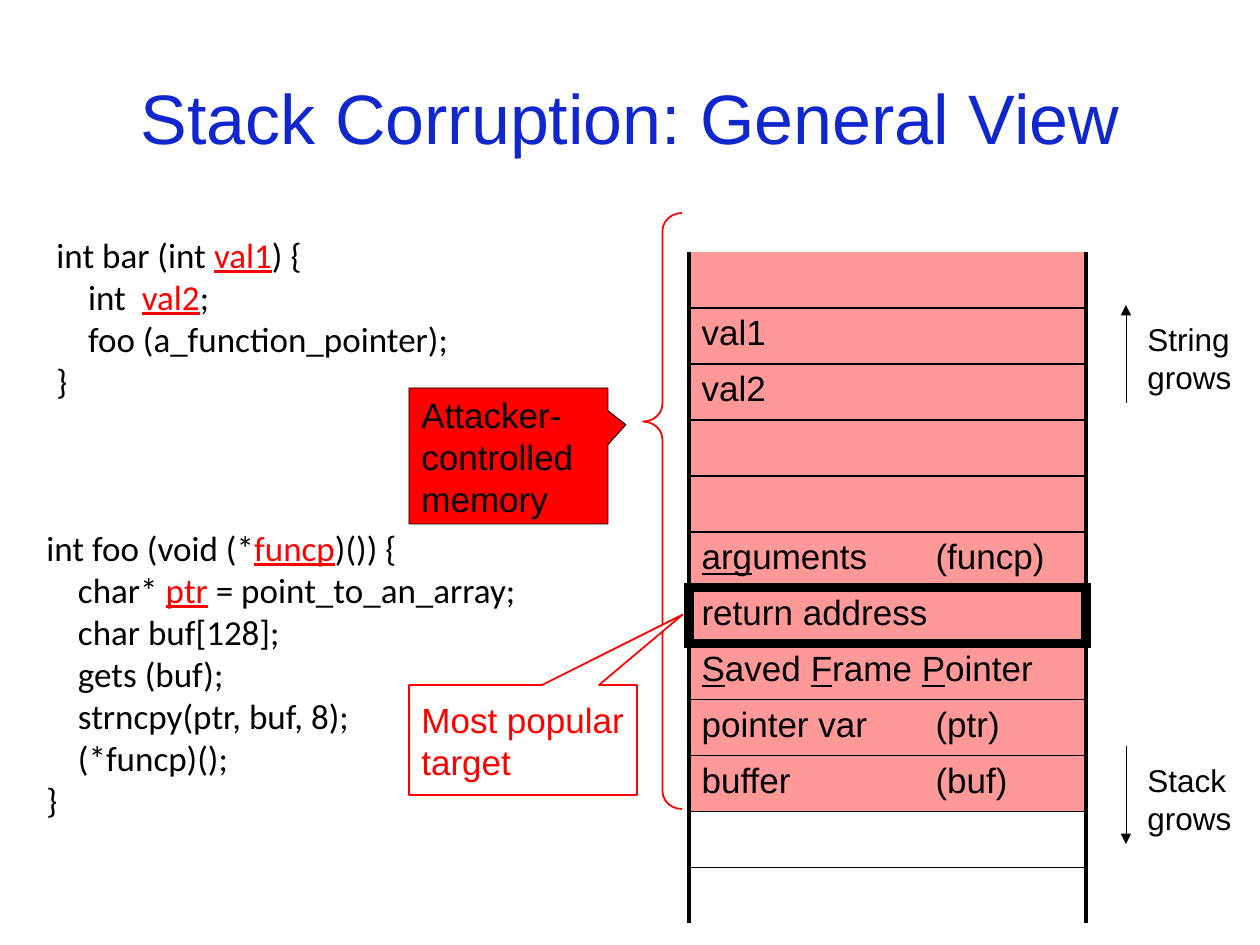
from lxml import etree
from pptx import Presentation
from pptx.dml.color import RGBColor
from pptx.enum.shapes import MSO_CONNECTOR, MSO_SHAPE
from pptx.enum.text import MSO_ANCHOR, MSO_AUTO_SIZE, PP_ALIGN
from pptx.oxml.ns import qn
from pptx.util import Emu, Pt

LINE = MSO_CONNECTOR.STRAIGHT
BRACE = MSO_SHAPE.LEFT_BRACE
CALL = MSO_SHAPE.RECTANGULAR_CALLOUT
MID, TOP = MSO_ANCHOR.MIDDLE, MSO_ANCHOR.TOP
LEFT, CENTER = PP_ALIGN.LEFT, PP_ALIGN.CENTER
GROW = MSO_AUTO_SIZE.SHAPE_TO_FIT_TEXT

BLACK = RGBColor(0x00, 0x00, 0x00)
WHITE = RGBColor(0xFF, 0xFF, 0xFF)
RED = RGBColor(0xFF, 0x00, 0x00)
PINK = RGBColor(0xFF, 0x99, 0x99)
BLUE = RGBColor(0x10, 0x27, 0xCE)

# Text between bars is underlined.
TITLE = "Stack Corruption: General View"
CODE = [
    ((44, 227, 470, 183), [
        "int bar (int |val1|) {",
        "    int  |val2|;",
        "    foo (a_function_pointer);",
        "}",
    ]),
    ((34, 520, 630, 310), [
        "int foo (void (*|funcp|)()) {",
        "    char* |ptr| = point_to_an_array;",
        "    char buf[128];",
        "    gets (buf);",
        "    strncpy(ptr, buf, 8);",
        "    (*funcp)();",
        "}",
    ]),
]
STACK = [
    "", "val1", "val2", "", "",
    "|arg|uments\t(funcp)",
    "return address",
    "|S|aved |F|rame |P|ointer",
    "pointer var\t(ptr)",
    "buffer\t(buf)",
    "", "",
]
TARGET, USED = 6, 10
GROWTH = [("String grows", 314, 403, 305), ("Stack grows", 755, 746, 844)]
CALLS = [
    ("Attacker-controlled memory", (409, 388, 199, 136),
     (0.59, -0.23), RED, BLACK, 0.5, BLACK),
    ("Most popular target", (409, 685, 228, 110),
     (0.7, -1.14), WHITE, RED, 1, RED),
]
GRID, ROW, TAB = (689, 252, 397), 56, 234
ARROW = 1126


def px(*nums):
    return [Emu(round(n * 914400 / 126)) for n in nums]


def write(frame, lines, size, face="Arial", color=BLACK, mark=None, align=LEFT, tab=None):
    for i, line in enumerate(lines):
        para = frame.paragraphs[0] if i == 0 else frame.add_paragraph()
        para.alignment = align
        if tab:
            tabs = etree.SubElement(para._p.get_or_add_pPr(), qn("a:tabLst"))
            etree.SubElement(tabs, qn("a:tab"), pos=str(px(tab)[0]), algn="l")
        font = para.font
        font.name, font.size, font.color.rgb = face, Pt(size), color
        for j, part in enumerate(line.split("|")):
            if part:
                run = para.add_run()
                run.text = part
                if j % 2:
                    run.font.underline = True
                    if mark:
                        run.font.color.rgb = mark


def add_text(box, lines, size, **look):
    frame = slide.shapes.add_textbox(*px(*box)).text_frame
    frame.word_wrap, frame.auto_size = True, GROW
    write(frame, lines, size, **look)


def add_form(kind, box, adjust, line, width, fill=None):
    form = slide.shapes.add_shape(kind, *px(*box))
    form.shadow.inherit = False
    for i, value in enumerate(adjust):
        form.adjustments[i] = value
    if fill is None:
        form.fill.background()
    else:
        form.fill.solid()
        form.fill.fore_color.rgb = fill
    form.line.color.rgb, form.line.width = line, Pt(width)
    return form


def add_arrow(x, start, end):
    arrow = slide.shapes.add_connector(LINE, *px(x, start, x, end))
    arrow.line.color.rgb, arrow.line.width = BLACK, Pt(0.5)
    etree.SubElement(arrow.line._get_or_add_ln(), qn("a:tailEnd"), type="triangle")
    etree.SubElement(arrow._element.spPr, qn("a:effectLst"))


def add_edge(cell, side, width):
    ln = etree.SubElement(cell._tc.get_or_add_tcPr(), qn("a:ln" + side), w=str(Pt(width)))
    if width:
        fill = etree.SubElement(ln, qn("a:solidFill"))
        etree.SubElement(fill, qn("a:srgbClr"), val=str(BLACK))
    else:
        etree.SubElement(ln, qn("a:noFill"))


def rule(i):
    if i in (0, len(STACK)):
        return 0
    return 6 if i in (TARGET, TARGET + 1) else 1


def add_stack():
    count = len(STACK)
    table = slide.shapes.add_table(count, 1, *px(*GRID, ROW * count)).table
    table.first_row = table.horz_banding = False
    for i, text in enumerate(STACK):
        table.rows[i].height = px(ROW)[0]
        cell = table.cell(i, 0)
        side = 6 if i == TARGET else 2.25
        for name, width in zip("LRTB", (side, side, rule(i), rule(i + 1))):
            add_edge(cell, name, width)
        cell.fill.solid()
        cell.fill.fore_color.rgb = PINK if i < USED else WHITE
        cell.vertical_anchor = TOP
        write(cell.text_frame, [text], 20, tab=TAB if "\t" in text else None)


deck = Presentation()
deck.slide_width, deck.slide_height = px(1260, 945)
slide = deck.slides.add_slide(deck.slide_layouts[5])

title = slide.shapes.title
title.left, title.top, title.width, title.height = px(63, 38, 1134, 158)
title.text_frame.vertical_anchor = MID
write(title.text_frame, [TITLE], 40, color=BLUE, align=CENTER)

add_form(BRACE, (643, 213, 39, 596), (0.46, 0.35), RED, 1)
for box, lines in CODE:
    add_text(box, lines, 20, face="Calibri", mark=RED)
for text, top, start, end in GROWTH:
    add_arrow(ARROW, start, end)
    add_text((ARROW + 9, top, 113, 89), [text], 18)
for text, box, tip, fill, line, width, color in CALLS:
    frame = add_form(CALL, box, tip, line, width, fill).text_frame
    frame.word_wrap, frame.vertical_anchor = True, MID
    write(frame, [text], 20, color=color)
add_stack()

deck.save("out.pptx")
